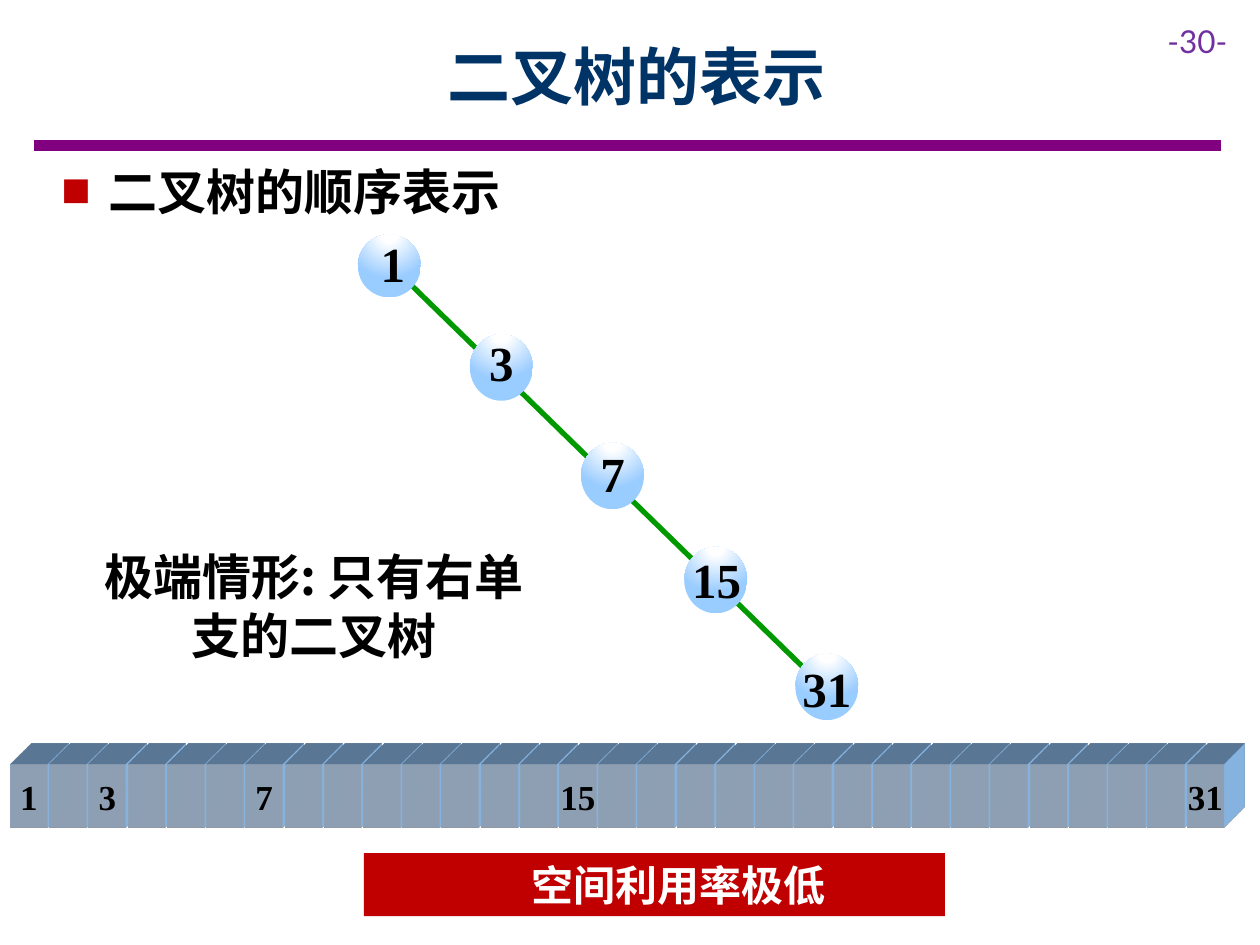
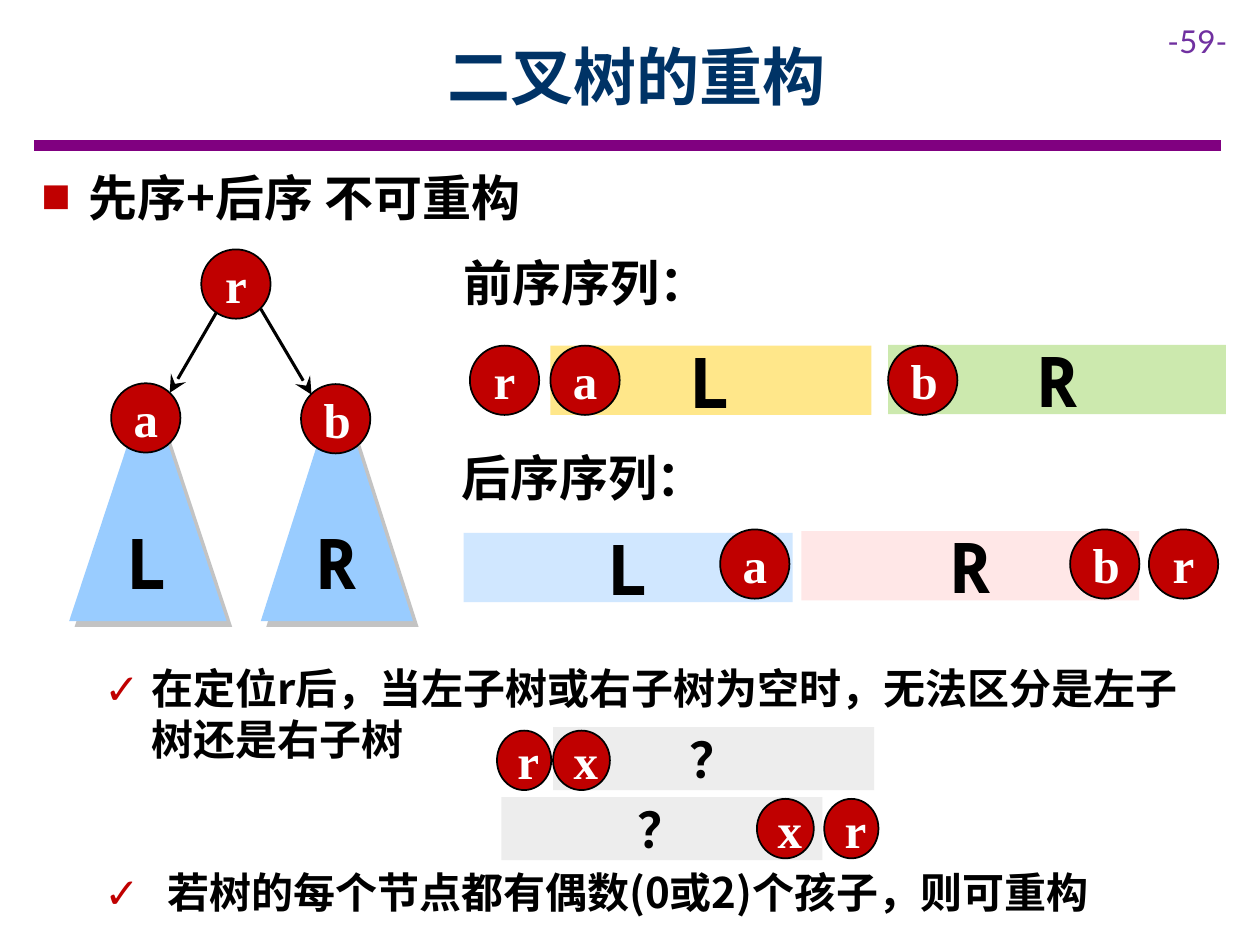
import pptx
import pptx.util
import pptx.dml.color
import pptx.enum.shapes
import pptx.enum.text
import pptx.oxml
import pptx.oxml.ns
import lxml.etree

Pt = pptx.util.Pt
RGBColor = pptx.dml.color.RGBColor
SHAPE = pptx.enum.shapes.MSO_SHAPE
STRAIGHT = pptx.enum.shapes.MSO_CONNECTOR.STRAIGHT
ALIGN = pptx.enum.text.PP_ALIGN
ANCHOR = pptx.enum.text.MSO_ANCHOR
qn = pptx.oxml.ns.qn

BLACK = RGBColor(0x00, 0x00, 0x00)
WHITE = RGBColor(0xFF, 0xFF, 0xFF)
NAVY = RGBColor(0x00, 0x33, 0x66)
PURPLE = RGBColor(0x80, 0x00, 0x80)
VIOLET = RGBColor(0x70, 0x30, 0xA0)
RED = RGBColor(0xC0, 0x00, 0x00)
GREEN = RGBColor(0x00, 0x99, 0x00)
SKY = RGBColor(0x99, 0xCC, 0xFF)
PALE_BLUE = RGBColor(0xCA, 0xE2, 0xFF)
GOLD = RGBColor(0xFF, 0xCC, 0x00)
LIME = RGBColor(0x92, 0xD0, 0x50)
PINK = RGBColor(0xFF, 0xCC, 0xCC)
GREY = RGBColor(0xD9, 0xD9, 0xD9)

CJK = "Noto Sans CJK SC"
MONO = "Noto Sans Mono"
SERIF = "Times New Roman"
DRAWING = 'xmlns:a="http://schemas.openxmlformats.org/drawingml/2006/main"'

SPHERE = f"""<a:gradFill {DRAWING} rotWithShape="1"><a:gsLst>
<a:gs pos="0"><a:srgbClr val="FFFFFF"/></a:gs>
<a:gs pos="18000"><a:srgbClr val="FFFFFF"/></a:gs>
<a:gs pos="100000"><a:srgbClr val="{SKY}"/></a:gs></a:gsLst>
<a:path path="circle"><a:fillToRect l="50000" t="-80000" r="50000" b="180000"/></a:path>
</a:gradFill>"""
SCENE = f"""<a:scene3d {DRAWING}><a:camera prst="legacyObliqueTopRight"/>
<a:lightRig rig="legacyFlat3" dir="b"/></a:scene3d>"""
EXTRUSION = f"""<a:sp3d {DRAWING} extrusionH="430200" prstMaterial="legacyMatte">
<a:bevelT w="13500" h="13500" prst="angle"/><a:bevelB w="13500" h="13500" prst="angle"/>
<a:extrusionClr><a:srgbClr val="{SKY}"/></a:extrusionClr></a:sp3d>"""
SHADOW = f"""<a:outerShdw {DRAWING} dist="57150" dir="2700000" algn="ctr" rotWithShape="0">
<a:srgbClr val="888888"><a:alpha val="50000"/></a:srgbClr></a:outerShdw>"""


def write(box, text, size, colour=BLACK, font=CJK, align=ALIGN.LEFT, bold=True,
          bullet=None, margin=0, indent=0, before=0, after=0, new=False):
    para = box.text_frame.add_paragraph() if new else box.text_frame.paragraphs[0]
    para.alignment = align
    para.space_before = Pt(before)
    para.space_after = Pt(after)
    settings = para._p.get_or_add_pPr()
    settings.set("marL", str(Pt(margin)))
    settings.set("indent", str(Pt(indent)))
    if bullet:
        bullet_colour = lxml.etree.SubElement(settings, qn("a:buClr"))
        lxml.etree.SubElement(bullet_colour, qn("a:srgbClr"), val=str(RED))
        lxml.etree.SubElement(settings, qn("a:buFont"), typeface=MONO)
        lxml.etree.SubElement(settings, qn("a:buChar"), char=bullet)
    span = para.add_run()
    span.text = text
    span.font.size = Pt(size)
    span.font.bold = bold
    span.font.name = font
    span.font.color.rgb = colour
    east_asian = CJK if font == SERIF else font
    lxml.etree.SubElement(span._r.get_or_add_rPr(), qn("a:ea"), typeface=east_asian)


def add_box(page, bounds, preset=None, fill=None, line=None, width=1, alpha=None,
            inset=7.2, anchor=ANCHOR.MIDDLE, wrap=True):
    bounds = [Pt(value) for value in bounds]
    if preset is None:
        box = page.shapes.add_textbox(*bounds)
    else:
        box = page.shapes.add_shape(preset, *bounds)
        box.shadow.inherit = False
        frame = box.text_frame
        frame.margin_left = frame.margin_right = Pt(inset)
        frame.margin_top = frame.margin_bottom = Pt(inset)
        if fill is not None:
            box.fill.solid()
            box.fill.fore_color.rgb = fill
        if alpha is not None:
            colour = box.fill._xPr.find(qn("a:solidFill"))[0]
            lxml.etree.SubElement(colour, qn("a:alpha"), val=str(alpha * 1000))
        if line is None:
            box.line.fill.background()
        else:
            box.line.color.rgb = line
            box.line.width = Pt(width)
    box.text_frame.vertical_anchor = anchor
    box.text_frame.word_wrap = wrap
    return box


deck = pptx.Presentation()
deck.slide_width = Pt(720)
deck.slide_height = Pt(540)

pages = []
lines = []
for heading, number in [("二叉树的表示", "-30-"), ("二叉树的重构", "-59-")]:
    page = deck.slides.add_slide(deck.slide_layouts[5])
    pages.append(page)
    title = page.shapes.title
    title.left, title.top, title.width, title.height = Pt(65), Pt(7), Pt(598), Pt(72)
    title.text_frame.vertical_anchor = ANCHOR.MIDDLE
    write(title, heading, 36, NAVY, align=ALIGN.CENTER)
    lines.append((page, (19.5, 83, 697.5, 83), PURPLE, 6, False))
    number_box = add_box(page, (660, 9, 60, 29), anchor=ANCHOR.TOP)
    write(number_box, number, 18, VIOLET, "Lato", bold=False)

storage_page, rebuild_page = pages
lines += [
    (storage_page, (230.5, 158.5, 472.5, 394.5), GREEN, 3, False),
    (rebuild_page, (124, 178, 97, 224.5), BLACK, 1.75, True),
    (rebuild_page, (149, 176.5, 178, 225.5), BLACK, 1.75, True),
]
for page, ends, colour, width, arrow in lines:
    link = page.shapes.add_connector(STRAIGHT, *[Pt(value) for value in ends])
    link.line.color.rgb = colour
    link.line.width = Pt(width)
    if arrow:
        lxml.etree.SubElement(link.line._get_or_add_ln(), qn("a:tailEnd"),
                              type="stealth", w="lg", len="lg")
    lxml.etree.SubElement(link._element.spPr, qn("a:effectLst"))

topic = add_box(storage_page, (28, 88.5, 303, 41), anchor=ANCHOR.TOP)
write(topic, "二叉树的顺序表示", 28, bullet="■", margin=27, indent=-27, after=6)
extreme_case = add_box(storage_page, (46, 309, 267, 75), anchor=ANCHOR.TOP)
write(extreme_case, "极端情形: 只有右单支的二叉树", 28, align=ALIGN.CENTER, after=6)

tree_nodes = [
    ("1", 204.5, 134, 36, (224.5, 150.5)),
    ("3", 268.5, 191, 38, (286.5, 207)),
    ("7", 332, 253, 38, (350, 270.5)),
    ("15", 391, 312.5, 38, (409.5, 331)),
    ("31", 454.5, 373.5, 38, (472.5, 393)),
]
for label, left, top, height, (middle_x, middle_y) in tree_nodes:
    node = add_box(storage_page, (left, top, 36, height), SHAPE.OVAL)
    node._element.spPr.find(qn("a:prstGeom")).addnext(pptx.oxml.parse_xml(SPHERE))
    label_box = add_box(storage_page, (middle_x - 24, middle_y - 20.5, 48, 41), wrap=False)
    write(label_box, label, 28, font=SERIF, align=ALIGN.CENTER)

stored = {1, 3, 7, 15, 31}
for index in range(1, 32):
    cell = add_box(storage_page, (6 + 22.41 * (index - 1), 437, 21, 36), SHAPE.RECTANGLE,
                   PALE_BLUE, WHITE, 1.5, inset=3, wrap=False)
    cell._element.spPr.append(pptx.oxml.parse_xml(SCENE))
    cell._element.spPr.append(pptx.oxml.parse_xml(EXTRUSION))
    if index in stored:
        write(cell, str(index), 20, font=SERIF, align=ALIGN.CENTER)

verdict = add_box(storage_page, (208, 487.5, 332, 36), SHAPE.RECTANGLE, RED,
                  inset=3.6, anchor=ANCHOR.TOP)
write(verdict, "空间利用率极低", 24, WHITE, SERIF, ALIGN.CENTER, margin=27, after=6)

body = add_box(rebuild_page, (16.5, 92, 669, 440), anchor=ANCHOR.TOP)
write(body, "先序+后序 不可重构", 28, bullet="■", margin=27, indent=-27, after=6)
write(body, "在定位r后，当左子树或右子树为空时，无法区分是左子树还是右子树", 24,
      bullet="✓", margin=63, indent=-27, before=243.5, after=6, new=True)
write(body, "若树的每个节点都有偶数(0或2)个孩子，则可重构", 24,
      bullet="✓", margin=72, indent=-36, before=53, after=6, new=True)

for text, left, top in [("前序序列：", 258, 140.5), ("后序序列：", 256.5, 252)]:
    caption = add_box(rebuild_page, (left, top, 207, 41), anchor=ANCHOR.TOP)
    write(caption, text, 28, after=6)

for label, left, width in [("R", 149, 87), ("L", 39.5, 90)]:
    subtree = add_box(rebuild_page, (left, 219, width, 136), SHAPE.ISOSCELES_TRIANGLE, SKY)
    subtree._element.spPr.find(qn("a:effectLst")).append(pptx.oxml.parse_xml(SHADOW))
    write(subtree, label, 40, font=MONO, align=ALIGN.CENTER)

bands = [
    ("L", 314.5, 197.5, 183.5, 39.6, GOLD, 40),
    ("R", 507.5, 197, 193, 39.6, LIME, 40),
    ("L", 265, 304.5, 188, 39.6, SKY, 40),
    ("R", 458, 303.5, 193, 39.6, PINK, 40),
    ("？", 316, 415.5, 183.5, 36, GREY, 28),
    ("？", 286.5, 455.5, 183.5, 36, GREY, 28),
]
for label, left, top, width, height, colour, size in bands:
    band = add_box(rebuild_page, (left, top, width, height), SHAPE.RECTANGLE, colour, alpha=46)
    write(band, label, size, font=MONO, align=ALIGN.CENTER)

FULL = (39.6, 39.6)
SMALL_R = (31, 34)
SMALL_X = (32.5, 34)
discs = [
    ("r", 115, 142.5, FULL), ("a", 63.5, 219, FULL), ("b", 172, 219.5, FULL),
    ("r", 268.5, 197.5, FULL), ("a", 314.5, 197.5, FULL), ("b", 507.5, 197.5, FULL),
    ("a", 411.5, 302.5, FULL), ("b", 611.5, 302.5, FULL), ("r", 656.5, 302.5, FULL),
    ("r", 284, 417.5, SMALL_R), ("x", 316, 417.5, SMALL_X),
    ("x", 432.5, 456.5, SMALL_X), ("r", 471, 456.5, SMALL_R),
]
for label, left, top, size in discs:
    disc = add_box(rebuild_page, (left, top, *size), SHAPE.OVAL, RED, BLACK)
    write(disc, label, 28, WHITE, SERIF, ALIGN.CENTER)

deck.save("out.pptx")
